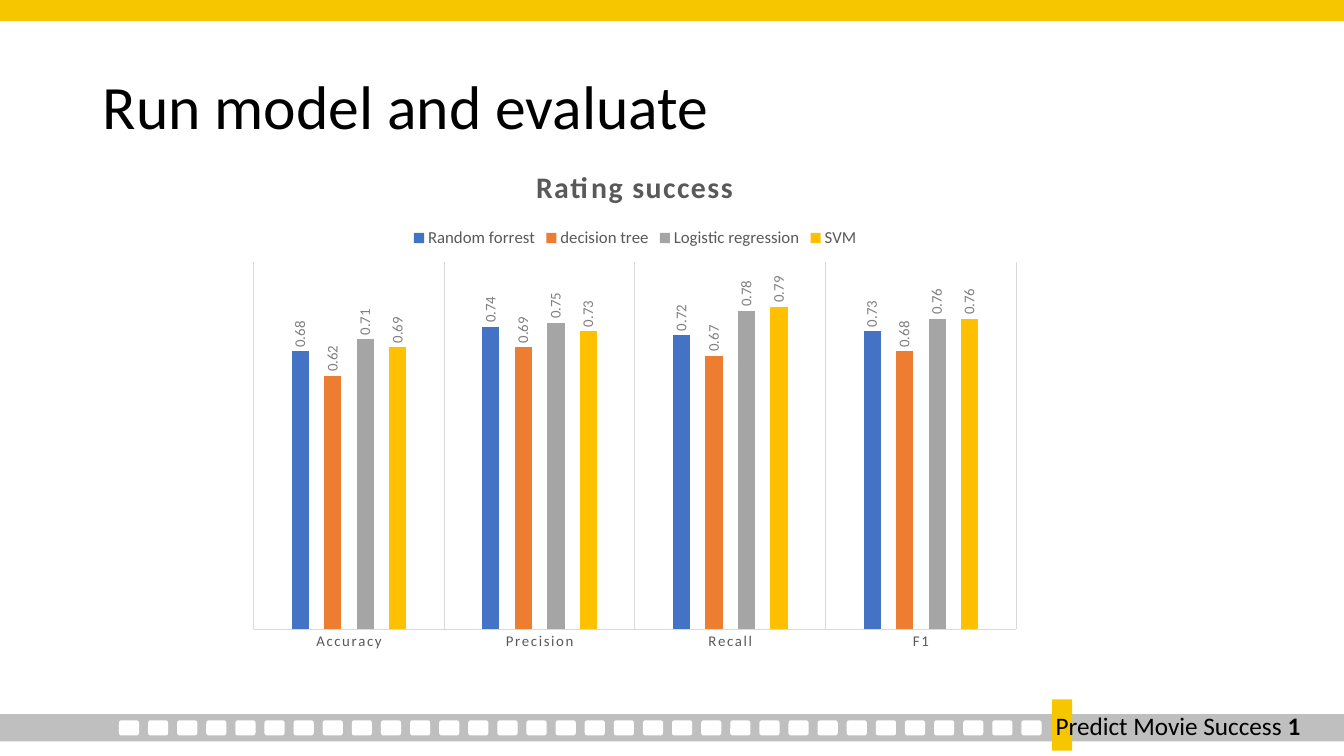
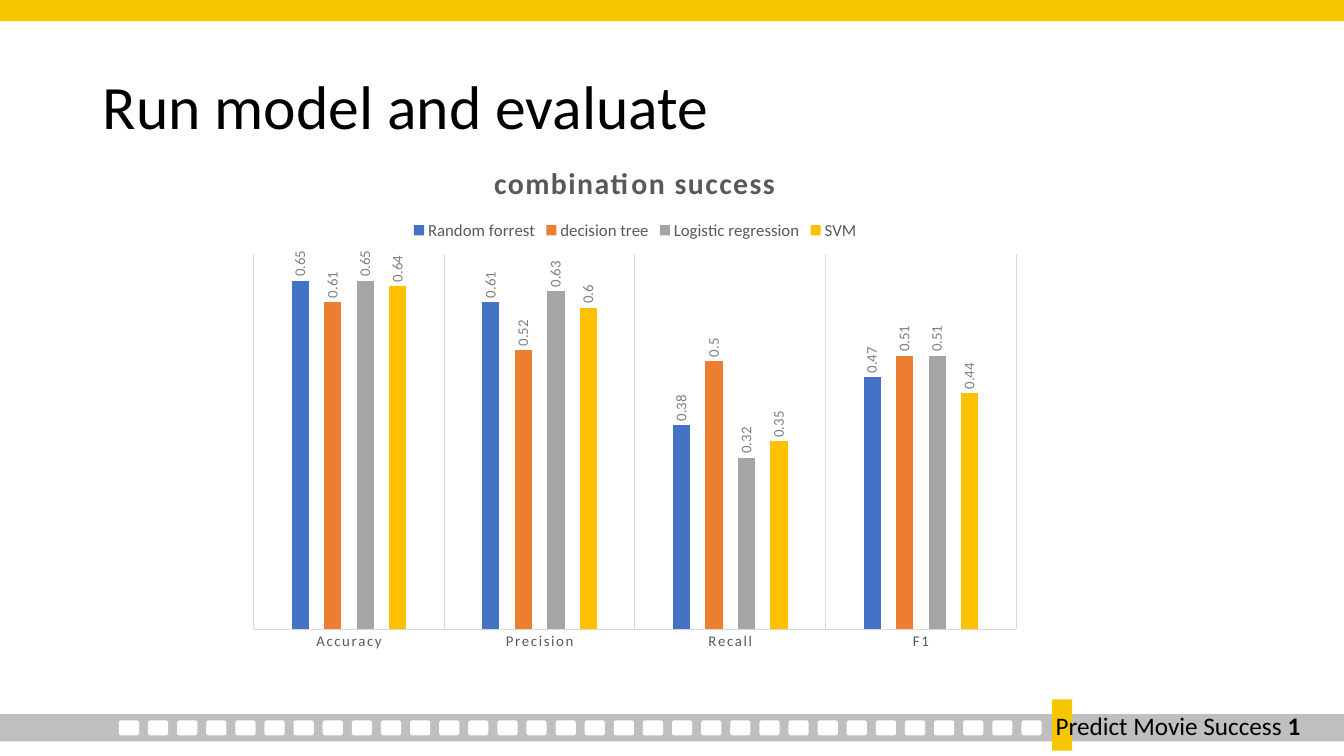
from pptx import Presentation
from pptx.chart.data import CategoryChartData
from pptx.dml.color import RGBColor
from pptx.enum.chart import XL_CHART_TYPE, XL_LABEL_POSITION, XL_LEGEND_POSITION, XL_TICK_MARK
from pptx.enum.shapes import MSO_SHAPE
from pptx.enum.text import MSO_ANCHOR, PP_ALIGN
from pptx.oxml import parse_xml
from pptx.oxml.ns import nsdecls
from pptx.util import Inches, Pt

RECT, ROUND = MSO_SHAPE.RECTANGLE, MSO_SHAPE.ROUNDED_RECTANGLE
TOP, MIDDLE = MSO_ANCHOR.TOP, MSO_ANCHOR.MIDDLE
LEFT, RIGHT = PP_ALIGN.LEFT, PP_ALIGN.RIGHT
COLUMN, OUTSIDE = XL_CHART_TYPE.COLUMN_CLUSTERED, XL_LABEL_POSITION.OUTSIDE_END
ABOVE, NONE = XL_LEGEND_POSITION.TOP, XL_TICK_MARK.NONE


class Theme:
    face = "Calibri"
    gold, grey, white, black = "F6C700", "BFBFBF", "FFFFFF", "000000"
    ink, label, rule = "595959", "808080", "D9D9D9"
    bars = ["4472C4", "ED7D31", "A5A5A5", "FFC000"]
    head, foot, title, legend, small = 44, 18, 21.28, 12, 10.6


deck = Presentation()
deck.slide_width, deck.slide_height = Inches(13.33), Inches(7.5)


def area(left, top, width, height):
    wide, high = deck.slide_width / 100, deck.slide_height / 100
    return int(left * wide), int(top * high), int(width * wide), int(height * high)


def style(font, size, color, bold=False):
    font.name, font.size, font.bold = Theme.face, Pt(size), bold
    font.color.rgb = RGBColor.from_string(color)


dots = 32
first, last = 8.85, 76
step = (last - first) / (dots - 1)
bands = [
    (RECT, Theme.grey, (0, 94.48, 100, 3.6)),
    (RECT, Theme.gold, (0, 0, 100, 2.8)),
    (RECT, Theme.gold, (78.28, 92.5, 1.5, 6.8)),
]
bands += [(ROUND, Theme.white, (first + i * step, 95.28, 1.5, 2)) for i in range(dots)]

texts = [
    ((76.95, 93.7, 20.55, 7.6), TOP, RIGHT, Theme.foot,
     [("Predict Movie Success ", False), ("1", True)]),
    ((6.9, 4.8, 86.27, 19.33), MIDDLE, LEFT, Theme.head,
     [("Run model and evaluate", False)]),
]

groups = ["Accuracy", "Precision", "Recall", "F1"]
models = ["Random forrest", "decision tree", "Logistic regression", "SVM"]
pages = [
    ("Rating success", 0.9, 36.9, 1.5, [
        [0.68, 0.74, 0.72, 0.73],
        [0.62, 0.69, 0.67, 0.68],
        [0.71, 0.75, 0.78, 0.76],
        [0.69, 0.73, 0.79, 0.76],
    ]),
    ("combination success", 0.7, 31.6, 0, [
        [0.65, 0.61, 0.38, 0.47],
        [0.61, 0.52, 0.5, 0.51],
        [0.65, 0.63, 0.32, 0.51],
        [0.64, 0.6, 0.35, 0.44],
    ]),
]

for name, peak, start, drop, rows in pages:
    slide = deck.slides.add_slide(deck.slide_layouts[6])

    for kind, color, box in bands:
        shape = slide.shapes.add_shape(kind, *area(*box))
        shape.shadow.inherit = False
        shape.fill.solid()
        shape.fill.fore_color.rgb = RGBColor.from_string(color)
        shape.line.fill.background()

    data = CategoryChartData()
    data.categories = groups
    for model, row in zip(models, rows):
        data.add_series(model, row)
    chart = slide.shapes.add_chart(COLUMN, *area(17.7, 19.33, 59.04, 68.27), data).chart
    style(chart.font, 10, Theme.black)

    chart.has_title = True
    run = chart.chart_title.text_frame.paragraphs[0].add_run()
    run.text = name
    style(run.font, Theme.title, Theme.ink, True)
    chart.chart_title.include_in_layout = False

    chart.has_legend = True
    chart.legend.position = ABOVE
    chart.legend.include_in_layout = False
    style(chart.legend.font, Theme.legend, Theme.ink)

    base = chart.category_axis
    base.major_tick_mark = base.minor_tick_mark = NONE
    base.has_major_gridlines = True
    for line in (base.format.line, base.major_gridlines.format.line):
        line.width = Pt(0.75)
        line.color.rgb = RGBColor.from_string(Theme.rule)
    style(base.tick_labels.font, Theme.small, Theme.ink)

    scale = chart.value_axis
    scale.minimum_scale, scale.maximum_scale = 0, peak
    scale.has_major_gridlines = False
    scale.visible = False

    plot = chart.plots[0]
    plot.vary_by_categories = False
    plot.gap_width, plot.overlap = 444, -90
    for bar, color in zip(plot.series, Theme.bars):
        bar.format.fill.solid()
        bar.format.fill.fore_color.rgb = RGBColor.from_string(color)
        marks = bar.data_labels
        marks.show_value = True
        marks.position = OUTSIDE
        style(marks.font, Theme.small, Theme.label)

    root = chart.element
    for query, key, value in [
        ("//c:title//a:rPr", "spc", "120"),
        ("//c:catAx/c:txPr//a:defRPr", "spc", "120"),
        ("//c:dLbls/c:txPr/a:bodyPr", "rot", "-5400000"),
        ("//c:dLbls/c:txPr/a:bodyPr", "vert", "horz"),
    ]:
        for node in root.xpath(query):
            node.set(key, value)

    for query, prior, inner, spot in [
        ("//c:title", "c:tx", "", {"x": start, "y": 2.1 + drop * 0.6}),
        ("//c:legend", "c:legendPos", "", {"x": 21.5, "y": 13.6 + drop}),
        ("//c:plotArea", "", '<c:layoutTarget val="inner"/>',
         {"x": 2, "y": 20.9 + drop, "w": 96.1, "h": 72.7 - drop}),
    ]:
        host = root.xpath(query)[0]
        for old in host.xpath("c:layout"):
            host.remove(old)
        modes = "".join(f'<c:{k}Mode val="edge"/>' for k in "xy")
        sizes = "".join(f'<c:{k} val="{v / 100:.3f}"/>' for k, v in spot.items())
        layout = parse_xml(
            f'<c:layout {nsdecls("c")}><c:manualLayout>{inner}{modes}{sizes}'
            "</c:manualLayout></c:layout>")
        if prior:
            host.xpath(prior)[0].addnext(layout)
        else:
            host.insert(0, layout)

    for box, anchor, align, size, runs in texts:
        frame = slide.shapes.add_textbox(*area(*box)).text_frame
        frame.word_wrap = True
        frame.vertical_anchor = anchor
        para = frame.paragraphs[0]
        para.alignment, para.line_spacing = align, 0.9
        for text, bold in runs:
            run = para.add_run()
            run.text = text
            style(run.font, size, Theme.black, bold)

deck.save("out.pptx")
